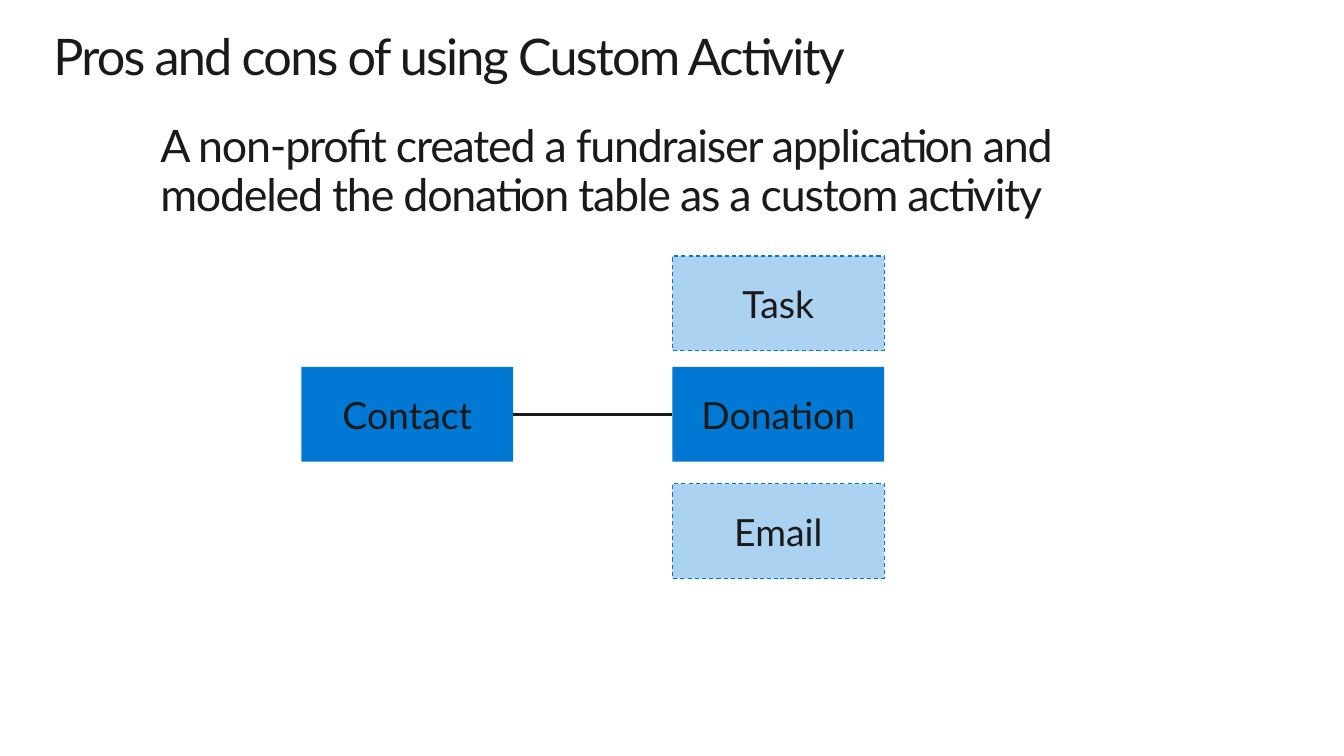
from dataclasses import dataclass

from lxml.etree import SubElement
from pptx import Presentation
from pptx.dml.color import RGBColor
from pptx.enum.dml import MSO_LINE
from pptx.enum.shapes import MSO_CONNECTOR, MSO_SHAPE
from pptx.enum.text import MSO_ANCHOR, MSO_AUTO_SIZE, PP_ALIGN
from pptx.oxml.ns import qn
from pptx.shapes.autoshape import Shape
from pptx.slide import Slide
from pptx.util import Inches, Pt

COLORS = {"ink": "1A1A1A", "blue": "0078D4"}
FONT = "Lato"
ENTITY_WIDTH, ENTITY_HEIGHT = 2.1, 0.94
CONTACT_LEFT, ACTIVITY_LEFT = 2.99, 6.67
RIGHT_SIDE, LEFT_SIDE = 3, 1


@dataclass
class Entity:
    name: str
    left: float
    top: float
    built_in: bool = False


ENTITIES = [
    Entity("Contact", CONTACT_LEFT, 3.64),
    Entity("Donation", ACTIVITY_LEFT, 3.64),
    Entity("Task", ACTIVITY_LEFT, 2.54, built_in=True),
    Entity("Email", ACTIVITY_LEFT, 4.8, built_in=True),
]


def color(name: str) -> RGBColor:
    return RGBColor.from_string(COLORS[name])


def write_text(
    box: Shape,
    text: str,
    *,
    size: float,
    align: PP_ALIGN = PP_ALIGN.LEFT,
    anchor: MSO_ANCHOR = MSO_ANCHOR.TOP,
    margins: tuple[float, float] = (0, 0),
    line_spacing: float = 1.0,
    tracking: float = 0,
) -> None:
    frame = box.text_frame
    frame.word_wrap = True
    frame.auto_size = MSO_AUTO_SIZE.NONE
    frame.vertical_anchor = anchor
    frame.margin_left = frame.margin_right = Inches(margins[0])
    frame.margin_top = frame.margin_bottom = Inches(margins[1])
    para = frame.paragraphs[0]
    para.alignment = align
    para.line_spacing = line_spacing
    span = para.add_run()
    span.text = text
    span.font.name = FONT
    span.font.size = Pt(size)
    span.font.color.rgb = color("ink")
    if tracking:
        span._r.get_or_add_rPr().set("spc", str(round(tracking * 100)))


def draw_entity(page: Slide, entity: Entity) -> Shape:
    box = page.shapes.add_shape(
        MSO_SHAPE.RECTANGLE,
        Inches(entity.left),
        Inches(entity.top),
        Inches(ENTITY_WIDTH),
        Inches(ENTITY_HEIGHT),
    )
    box.shadow.inherit = False
    box.fill.solid()
    box.fill.fore_color.rgb = color("blue")
    if entity.built_in:
        fill_color = box._element.spPr.find(qn("a:solidFill"))[0]
        SubElement(fill_color, qn("a:alpha")).set("val", "33000")
        box.line.color.rgb = color("blue")
        box.line.width = Pt(0.75)
        box.line.dash_style = MSO_LINE.DASH
    else:
        box.line.fill.background()
    write_text(
        box,
        entity.name,
        size=26.7,
        align=PP_ALIGN.CENTER,
        anchor=MSO_ANCHOR.MIDDLE,
        margins=(0.13, 0.07),
    )
    return box


def connect(page: Slide, source: Shape, target: Shape) -> None:
    link = page.shapes.add_connector(MSO_CONNECTOR.STRAIGHT, 0, 0, 0, 0)
    link.begin_connect(source, RIGHT_SIDE)
    link.end_connect(target, LEFT_SIDE)
    link.line.color.rgb = color("ink")
    link.line.width = Pt(2.5)
    SubElement(link._element.spPr, qn("a:effectLst"))


deck = Presentation()
deck.slide_width, deck.slide_height = Inches(13.33), Inches(7.5)
page = deck.slides.add_slide(deck.slide_layouts.get_by_name("Title Only"))

title = page.shapes.title
title.left, title.top = Inches(0.53), Inches(0.25)
title.width, title.height = Inches(12.35), Inches(0.61)
write_text(title, "Pros and cons of using Custom Activity", size=36, tracking=-1.3)

scenario = page.shapes.add_textbox(
    Inches(1.59), Inches(1.23), Inches(9.45), Inches(2.15)
)
write_text(
    scenario,
    "A non-profit created a fundraiser application and "
    "modeled the donation table as a custom activity",
    size=32,
    line_spacing=0.9,
    tracking=-0.9,
)

boxes = {entity.name: draw_entity(page, entity) for entity in ENTITIES}
connect(page, boxes["Contact"], boxes["Donation"])

deck.save("out.pptx")
